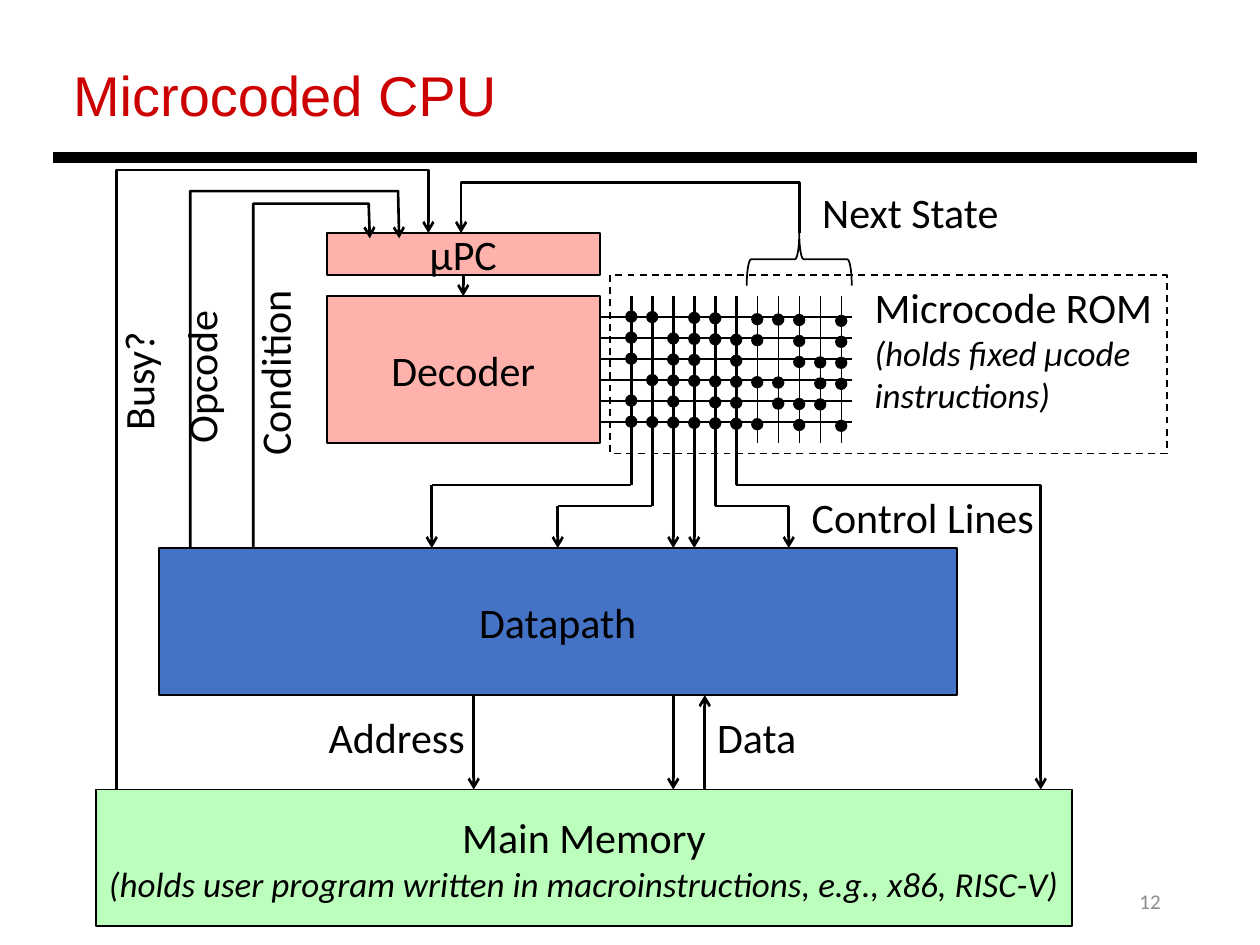
"""Build the Microcoded CPU block diagram slide."""
from typing import NamedTuple

from pptx import Presentation
from pptx.dml.color import RGBColor
from pptx.enum.dml import MSO_LINE
from pptx.enum.shapes import MSO_CONNECTOR, MSO_SHAPE
from pptx.enum.text import MSO_ANCHOR, MSO_AUTO_SIZE, PP_ALIGN
from pptx.oxml.ns import qn
from pptx.util import Inches, Pt
from lxml import etree

RECT, OVAL, BRACE = MSO_SHAPE.RECTANGLE, MSO_SHAPE.OVAL, MSO_SHAPE.LEFT_BRACE
STRAIGHT = MSO_CONNECTOR.STRAIGHT
DASH = MSO_LINE.DASH
LEFT, CENTER, RIGHT = PP_ALIGN.LEFT, PP_ALIGN.CENTER, PP_ALIGN.RIGHT
TOP, MIDDLE = MSO_ANCHOR.TOP, MSO_ANCHOR.MIDDLE
GROW = MSO_AUTO_SIZE.SHAPE_TO_FIT_TEXT

UNIT = 1 / 6
ORIGIN_X, ORIGIN_Y = 0.76, 1.85
BLACK, RED, GREY = "000000", "CC0000", "8C8C8C"
PINK, BLUE, GREEN = "FFB2AB", "4472C4", "BCFFBC"
THIN, HAIR, WIRE = 1, 0.75, 1.5
ROM_COL, ROM_ROW, DOT = 25.5, 4, 0.5
ROM_BITS = (
    "##.##.###.#",
    "#.#####.#.#",
    "#.##.#..###",
    ".#######.##",
    "#.#.##.###.",
    "#######.#.#",
)


class Line(NamedTuple):
    """One paragraph with its look."""
    text: str
    size: float = 24
    italic: bool = False
    color: str = BLACK
    font: str = "Calibri"


class Area(NamedTuple):
    """A rectangle in grid columns and rows."""
    col: float
    row: float
    cols: float
    rows: float


class Block(NamedTuple):
    """A filled, captioned unit of the machine."""
    area: Area
    fill: str
    lines: tuple


class Label(NamedTuple):
    """A one-line caption beside a wire."""
    text: str
    area: Area
    rotation: float = 0


class Wire(NamedTuple):
    """A straight line between two grid points."""
    start: tuple
    end: tuple
    weight: float = WIRE
    arrow: bool = False


BLOCKS = {
    "datapath": Block(Area(3, 15, 38, 7), BLUE, (Line("Datapath"),)),
    "memory": Block(Area(0, 26.5, 46.5, 6.5), GREEN, (
        Line("Main Memory"),
        Line("(holds user program written in macroinstructions, e.g., x86, RISC-V)", 20, True))),
    "decoder": Block(Area(11, 3, 13, 7), PINK, (Line("Decoder"),)),
    "counter": Block(Area(11, 0, 13, 2), PINK, (Line("µPC"),)),
}
LABELS = (
    Label("Address", Area(10.5, 22.5, 7.8, 3)),
    Label("Data", Area(29, 22.5, 5, 3)),
    Label("Next State", Area(34, -2.5, 9.8, 3)),
    Label("Control Lines", Area(33.5, 12, 12, 3)),
    Label("Opcode", Area(1.2, 5.3, 7.6, 3), 270),
    Label("Condition", Area(3.9, 5.1, 9.2, 3), 270),
    Label("Busy?", Area(-1, 5.5, 6, 3), 270),
)
BUS_WIRES = (
    Wire((18, 22), (18, 26.5), arrow=True),
    Wire((27.5, 22), (27.5, 26.5), arrow=True),
    Wire((29, 26.5), (29, 22), arrow=True),
)
CONTROL_ENDS = (12, 13, 15, 15, 13, 12)
CONTROL_BENDS = ((0, 16, 15), (1, 22, 15), (4, 33, 15), (5, 45, 26.5))
FEEDBACK = (
    ((33.5, 0), (33.5, -2.4), (17.4, -2.4), (17.4, 0)),
    ((4.5, 15), (4.5, -2), (14.4, -2), (14.45, 0.25)),
    ((7.5, 15), (7.5, -1.4), (13, -1.4), (13.05, 0.25)),
    ((1, 26.5), (1, -3), (15.84, -3), (15.84, 0)),
)


def rgb(value: str) -> RGBColor:
    """Turn a hex string into a colour."""
    return RGBColor.from_string(value)


def point(col: float, row: float) -> tuple:
    """Turn a grid point into slide lengths."""
    return Inches(ORIGIN_X + col * UNIT), Inches(ORIGIN_Y + row * UNIT)


def frame(area: Area) -> tuple:
    """Turn a grid area into left, top, width and height."""
    return *point(area.col, area.row), Inches(area.cols * UNIT), Inches(area.rows * UNIT)


def write(holder, lines: tuple, align=LEFT, anchor=TOP, wrap: bool = True) -> None:
    """Fill a shape with formatted paragraphs."""
    body = holder.text_frame
    body.word_wrap, body.vertical_anchor = wrap, anchor
    for index, line in enumerate(lines):
        paragraph = body.add_paragraph() if index else body.paragraphs[0]
        paragraph.text, paragraph.alignment = line.text, align
        font = paragraph.font
        font.name, font.size, font.italic = line.font, Pt(line.size), line.italic
        font.color.rgb = rgb(line.color)


def stroke(item, weight: float, arrow: bool = False) -> None:
    """Set a black outline, with an arrowhead at its end if asked."""
    item.line.color.rgb = rgb(BLACK)
    item.line.width = Pt(weight)
    if arrow:
        outline = item.element.spPr.find(qn("a:ln"))
        etree.SubElement(outline, qn("a:tailEnd"), type="arrow")


def add_figure(slide, kind, area: Area, fill: str = ""):
    """Add a preset shape, unfilled when no colour is given."""
    figure = slide.shapes.add_shape(kind, *frame(area))
    figure.shadow.inherit = False
    if fill:
        figure.fill.solid()
        figure.fill.fore_color.rgb = rgb(fill)
    else:
        figure.fill.background()
    stroke(figure, THIN)
    return figure


def add_text(slide, area: Area, lines: tuple, wrap: bool = True):
    """Add a text box that grows with its text."""
    caption = slide.shapes.add_textbox(*frame(area))
    write(caption, lines, wrap=wrap)
    caption.text_frame.auto_size = GROW
    return caption


def add_wire(slide, wire: Wire):
    """Add a straight connector."""
    connector = slide.shapes.add_connector(STRAIGHT, *point(*wire.start), *point(*wire.end))
    stroke(connector, wire.weight, wire.arrow)
    etree.SubElement(connector.element.spPr, qn("a:effectLst"))
    return connector


def add_feedback(slide, corners: tuple) -> None:
    """Add a bent arrow through the given corners."""
    builder = slide.shapes.build_freeform(*point(*corners[0]))
    builder.add_line_segments([point(*corner) for corner in corners[1:]], close=False)
    path_shape = builder.convert_to_shape()
    path_shape.shadow.inherit = False
    path_shape.fill.background()
    stroke(path_shape, WIRE, True)


def add_rom(slide) -> None:
    """Draw the ROM matrix with its control outputs."""
    for row in range(len(ROM_BITS)):
        add_wire(slide, Wire((24, ROM_ROW + row), (36, ROM_ROW + row), HAIR))
    for index in range(len(ROM_BITS[0])):
        control = index < len(CONTROL_ENDS)
        end = CONTROL_ENDS[index] if control else 10
        add_wire(slide, Wire((ROM_COL + index, 3), (ROM_COL + index, end),
                             WIRE if control else HAIR, end == 15))
    for index, target, floor in CONTROL_BENDS:
        level = CONTROL_ENDS[index]
        add_wire(slide, Wire((ROM_COL + index, level), (target, level)))
        add_wire(slide, Wire((target, level), (target, floor), arrow=True))
    for row, bits in enumerate(ROM_BITS):
        for index, bit in enumerate(bits):
            if bit == "#":
                drift = 0.02 * index - 0.02
                add_figure(slide, OVAL, Area(ROM_COL + index - DOT / 2,
                                             ROM_ROW + row + drift - DOT / 2, DOT, DOT), BLACK)


def main() -> None:
    """Build and save the slide."""
    deck = Presentation()
    deck.slide_width, deck.slide_height = Inches(10), Inches(7.5)
    slide = deck.slides.add_slide(deck.slide_layouts[5])
    title = slide.shapes.title
    title.left, title.top, title.width, title.height = map(Inches, (0.48, 0.43, 8.78, 0.64))
    write(title, (Line("Microcoded CPU", 32, color=RED, font="Arial"),))
    title.text_frame.auto_size = GROW
    number = slide.shapes.add_textbox(*map(Inches, (7.06, 6.95, 2.25, 0.4)))
    write(number, (Line("12", 12, color=GREY),), RIGHT, MIDDLE)
    add_wire(slide, Wire((-2.04, -3.6), (52.44, -3.6), 6))

    units = {}
    for key, block in BLOCKS.items():
        units[key] = add_figure(slide, RECT, block.area, block.fill)
        write(units[key], block.lines, CENTER, MIDDLE)
    for wire in BUS_WIRES:
        add_wire(slide, wire)
    step = add_wire(slide, Wire((17.5, 2), (17.5, 3), arrow=True))
    step.begin_connect(units["counter"], 2)
    step.end_connect(units["decoder"], 0)

    add_rom(slide)
    add_figure(slide, BRACE, Area(32.25, -1.25, 2.5, 5)).rotation = 90
    add_text(slide, Area(36.5, 2, 14.5, 7.1), (
        Line("Microcode ROM"), Line("(holds fixed µcode instructions)", 20, True)))
    add_figure(slide, RECT, Area(24.5, 2, 26.5, 8.5)).line.dash_style = DASH
    for corners in FEEDBACK:
        add_feedback(slide, corners)
    for label in LABELS:
        add_text(slide, label.area, (Line(label.text),), False).rotation = label.rotation
    deck.save("out.pptx")


if __name__ == "__main__":
    main()
